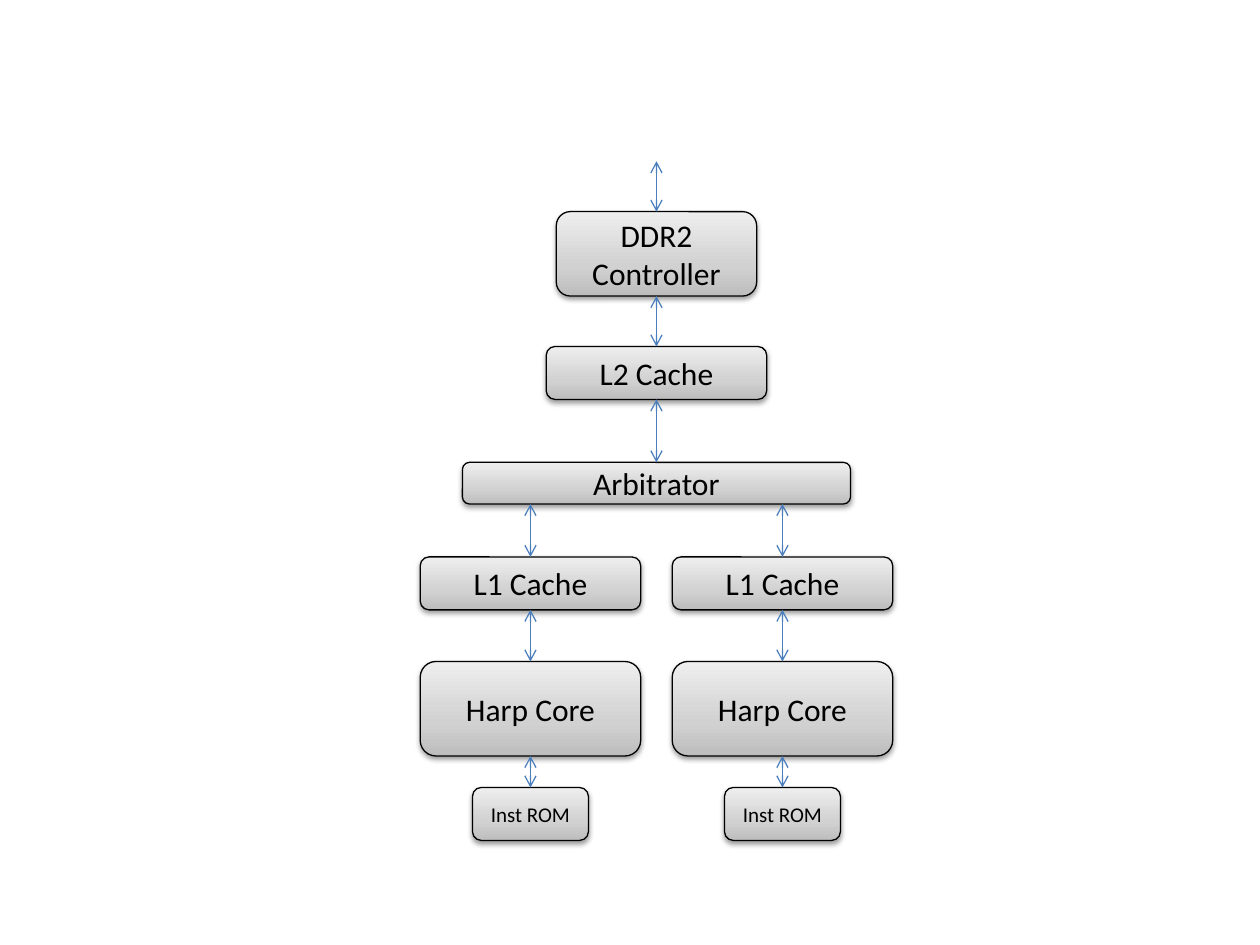
"""Draw the memory hierarchy of a two-core processor as one slide."""
from copy import deepcopy
from dataclasses import dataclass

from lxml.etree import SubElement
from pptx import Presentation
from pptx.dml.color import RGBColor
from pptx.enum.shapes import MSO_CONNECTOR as Connector, MSO_SHAPE as Shape
from pptx.enum.text import PP_ALIGN as Align
from pptx.oxml.ns import qn
from pptx.util import Inches, Pt

COLORS = {
    "dark": "BDBDBD",
    "middle": "D1D1D1",
    "light": "EEEEEE",
    "ink": "000000",
    "arrow": "4B7EBC",
}
GRADIENT = ((0, "dark"), (0.35, "middle"), (1, "light"))
CENTER = 5.21
CORE_OFFSET = 1.0
BUS_TOP = 1.28


@dataclass(frozen=True)
class Unit:
    label: str
    top: float
    width: float
    height: float
    size: int = 18

    @property
    def bottom(self) -> float:
        return self.top + self.height


DDR2 = Unit("DDR2 Controller", 1.68, 1.59, 0.67)
L2_CACHE = Unit("L2 Cache", 2.75, 1.75, 0.42)
ARBITRATOR = Unit("Arbitrator", 3.67, 3.08, 0.33)
CORE_UNITS = (
    Unit("L1 Cache", 4.42, 1.75, 0.42),
    Unit("Harp Core", 5.25, 1.75, 0.75),
    Unit("Inst ROM", 6.25, 0.92, 0.42, 12),
)


def rgb(name: str) -> RGBColor:
    return RGBColor.from_string(COLORS[name])


def shade(fill) -> None:
    fill.gradient()
    fill.gradient_angle = 90
    first = fill.gradient_stops[0]._gs
    first.addnext(deepcopy(first))
    for stop, (position, color) in zip(fill.gradient_stops, GRADIENT):
        stop.position = position
        stop.color.rgb = rgb(color)


def cast_shadow(box) -> None:
    box.shadow.inherit = False
    effects = box._element.spPr.find(qn("a:effectLst"))
    shadow = SubElement(effects, qn("a:outerShdw"), blurRad=str(Pt(3.1)),
                        dist=str(Pt(1.6)), dir="5400000", rotWithShape="0")
    color = SubElement(shadow, qn("a:srgbClr"), val=COLORS["ink"])
    SubElement(color, qn("a:alpha"), val="38000")


def draw_unit(slide, unit: Unit, center: float) -> None:
    box = slide.shapes.add_shape(
        Shape.ROUNDED_RECTANGLE, Inches(center - unit.width / 2),
        Inches(unit.top), Inches(unit.width), Inches(unit.height))
    shade(box.fill)
    box.line.color.rgb = rgb("ink")
    box.line.width = Pt(0.75)
    cast_shadow(box)
    box.text_frame.margin_top = box.text_frame.margin_bottom = Inches(0)
    label = box.text_frame.paragraphs[0]
    label.text = unit.label
    label.alignment = Align.CENTER
    label.font.name = "Calibri"
    label.font.size = Pt(unit.size)
    label.font.color.rgb = rgb("ink")


def draw_link(slide, center: float, top: float, bottom: float) -> None:
    link = slide.shapes.add_connector(
        Connector.STRAIGHT, Inches(center), Inches(top),
        Inches(center), Inches(bottom))
    link.line.color.rgb = rgb("arrow")
    link.line.width = Pt(0.75)
    line = link.line._get_or_add_ln()
    for end in ("a:headEnd", "a:tailEnd"):
        SubElement(line, qn(end), type="arrow")
    SubElement(link._element.spPr, qn("a:effectLst"))


def draw_stack(slide, units: tuple[Unit, ...], center: float,
               start: float) -> None:
    for unit in units:
        draw_unit(slide, unit, center)
        draw_link(slide, center, start, unit.top)
        start = unit.bottom


def main() -> None:
    deck = Presentation()
    deck.slide_width, deck.slide_height = Inches(10), Inches(7.5)
    slide = deck.slides.add_slide(deck.slide_layouts[6])
    draw_stack(slide, (DDR2, L2_CACHE, ARBITRATOR), CENTER, BUS_TOP)
    for offset in (-CORE_OFFSET, CORE_OFFSET):
        draw_stack(slide, CORE_UNITS, CENTER + offset, ARBITRATOR.bottom)
    deck.save("out.pptx")


main()
